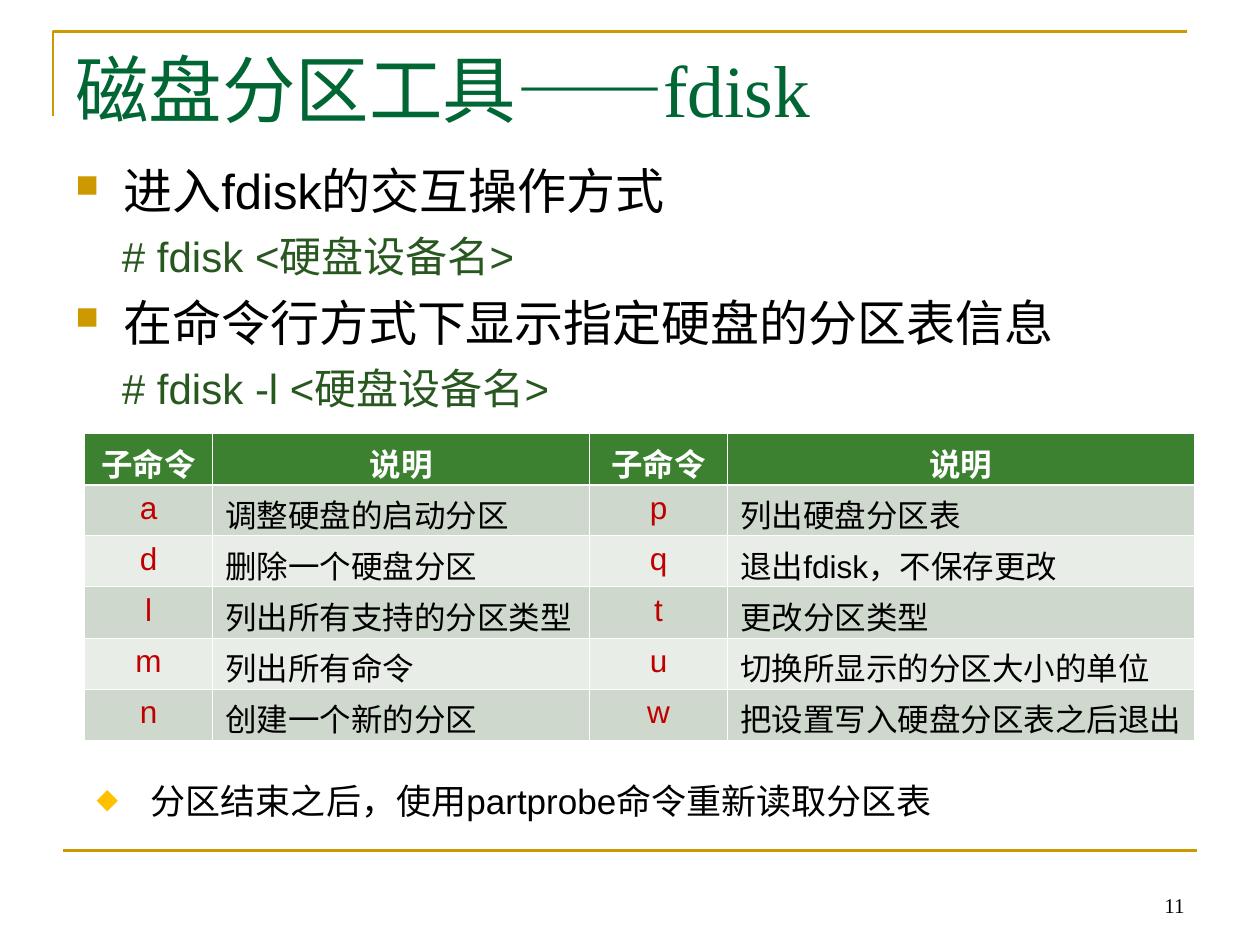
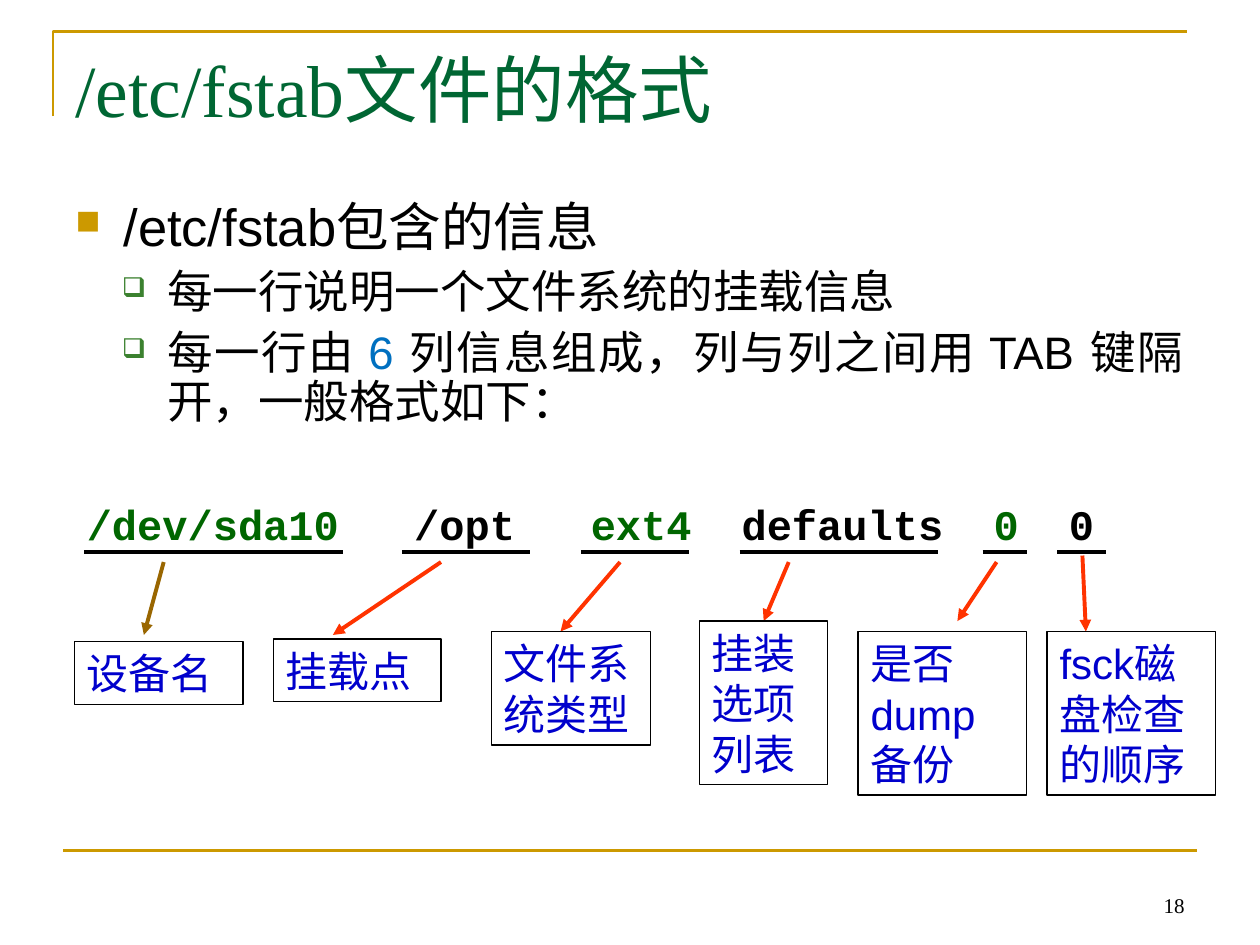
from dataclasses import dataclass

from lxml import etree
from pptx import Presentation
from pptx.dml.color import RGBColor
from pptx.enum.shapes import MSO_CONNECTOR, MSO_SHAPE
from pptx.enum.text import MSO_ANCHOR, PP_ALIGN
from pptx.oxml.ns import qn
from pptx.util import Cm, Pt

STRAIGHT, RECTANGLE = MSO_CONNECTOR.STRAIGHT, MSO_SHAPE.RECTANGLE
LEFT, CENTER = PP_ALIGN.LEFT, PP_ALIGN.CENTER
RIGHT, JUSTIFY = PP_ALIGN.RIGHT, PP_ALIGN.JUSTIFY
TOP, BOTTOM = MSO_ANCHOR.TOP, MSO_ANCHOR.BOTTOM

# Colours
GOLD = RGBColor(0xCC, 0x99, 0x00)
AMBER = RGBColor(0xFF, 0xC0, 0x00)
TITLE_GREEN = RGBColor(0x00, 0x66, 0x33)
COMMAND_GREEN = RGBColor(0x28, 0x57, 0x1F)
HEADER_GREEN = RGBColor(0x3B, 0x81, 0x2F)
FIELD_GREEN = RGBColor(0x00, 0x66, 0x00)
ROW_DARK = RGBColor(0xCE, 0xD8, 0xCD)
ROW_LIGHT = RGBColor(0xE8, 0xED, 0xE8)
KEY_RED = RGBColor(0xC0, 0x00, 0x00)
ARROW_RED = RGBColor(0xFF, 0x33, 0x00)
ARROW_BROWN = RGBColor(0x99, 0x66, 0x00)
LABEL_BLUE = RGBColor(0x00, 0x00, 0xCC)
ACCENT_BLUE = RGBColor(0x00, 0x70, 0xC0)
BLACK = RGBColor(0x00, 0x00, 0x00)
WHITE = RGBColor(0xFF, 0xFF, 0xFF)

SANS, SERIF, MONO = "Arial", "Times New Roman", "Courier New"


@dataclass
class ParaStyle:
    size: float
    color: RGBColor = BLACK
    font: str = SANS
    bold: bool = False
    align: int = LEFT
    before: float = 0
    spacing: float = 1.0
    margin: float = 0
    hanging: float = 0
    bullet: str = ""
    bullet_color: RGBColor = GOLD
    bullet_percent: int = 65
    tabs: tuple = ()


LEVEL_1 = {"margin": 0.97, "hanging": 0.97}
LEVEL_2 = {"margin": 1.85, "hanging": 0.91}
TITLE = ParaStyle(42, TITLE_GREEN, SERIF)
PAGE_NUMBER = ParaStyle(12, font=SERIF, align=RIGHT)
TOPIC = ParaStyle(28, before=7, bullet="■", **LEVEL_1)
COMMAND = ParaStyle(24, COMMAND_GREEN, before=6, **LEVEL_2)
NOTE = ParaStyle(20, spacing=0.93, margin=1.09, hanging=1.09,
                 bullet="◆", bullet_color=AMBER, bullet_percent=80)
FSTAB_TOPIC = ParaStyle(30, align=JUSTIFY, before=7.5, spacing=0.9,
                        bullet="■", **LEVEL_1)
FSTAB_POINT = ParaStyle(26, align=JUSTIFY, before=6.5, spacing=0.9, bullet="❑",
                        bullet_color=HEADER_GREEN, bullet_percent=60, **LEVEL_2)
FIELDS = ParaStyle(24, font=MONO, bold=True, before=6,
                   tabs=(6.6, 10.16, 13.2, 18.28, 19.8))
LABEL = ParaStyle(24, LABEL_BLUE)
TABLE_HEAD = ParaStyle(18, WHITE, bold=True, align=CENTER)
TABLE_KEY = ParaStyle(18, KEY_RED, align=CENTER)
TABLE_TEXT = ParaStyle(18)

# Content
SUBCOMMANDS = [
    ("子命令", "说明", "子命令", "说明"),
    ("a", "调整硬盘的启动分区", "p", "列出硬盘分区表"),
    ("d", "删除一个硬盘分区", "q", "退出fdisk，不保存更改"),
    ("l", "列出所有支持的分区类型", "t", "更改分区类型"),
    ("m", "列出所有命令", "u", "切换所显示的分区大小的单位"),
    ("n", "创建一个新的分区", "w", "把设置写入硬盘分区表之后退出"),
]
# Field, label, underline (from, to), arrow (from, to), label box
FSTAB_FIELDS = [
    ("/dev/sda10", "设备名", (1.7, 6.91),
     ((3.3, 11.33), (2.9, 12.8)), (1.5, 12.93, 3.4, 1.27)),
    ("/opt", "挂载点", (8.1, 10.69),
     ((8.89, 11.33), (6.71, 12.8)), (5.51, 12.88, 3.38, 1.27)),
    ("ext4", "文件系统类型", (11.71, 13.89),
     ((12.5, 11.33), (11.3, 12.73)), (9.91, 12.73, 3.2, 2.29)),
    ("defaults", "挂装选项列表", (14.91, 18.9),
     ((15.9, 11.33), (15.49, 12.52)), (14.1, 12.52, 2.59, 3.3)),
    ("0", "是否dump备份", (19.81, 20.7),
     ((20.09, 11.33), (19.3, 12.52)), (17.3, 12.73, 3.4, 3.3)),
    ("0", "fsck磁盘检查的顺序", (21.31, 22.3),
     ((21.82, 11.2), (21.89, 12.73)), (21.11, 12.73, 3.4, 3.3)),
]
UNDERLINE_Y = 11.13
JOIN_TOLERANCE = 0.1


def add_xml(parent, tag, **attributes):
    return etree.SubElement(parent, qn(tag), attributes)


def style_paragraph(paragraph, style):
    """Bullets and tabs go first; the spacing and font setters sort themselves in."""
    properties = paragraph._p.get_or_add_pPr()
    if style.margin:
        properties.set("marL", str(Cm(style.margin)))
        properties.set("indent", str(-Cm(style.hanging)))
    if style.bullet:
        color = add_xml(properties, "a:buClr")
        add_xml(color, "a:srgbClr", val=str(style.bullet_color))
        add_xml(properties, "a:buSzPct", val=str(style.bullet_percent * 1000))
        add_xml(properties, "a:buChar", char=style.bullet)
    if style.tabs:
        stops = add_xml(properties, "a:tabLst")
        for stop in style.tabs:
            add_xml(stops, "a:tab", pos=str(Cm(stop)), algn="l")
    paragraph.alignment = style.align
    paragraph.space_before = Pt(style.before)
    paragraph.line_spacing = style.spacing
    font = paragraph.font
    font.name, font.size, font.bold = style.font, Pt(style.size), style.bold
    font.color.rgb = style.color


def write(frame, paragraphs):
    """Each paragraph is (style, text) or (style, [(text, colour), ...])."""
    frame.word_wrap = True
    for index, (style, content) in enumerate(paragraphs):
        paragraph = frame.add_paragraph() if index else frame.paragraphs[0]
        style_paragraph(paragraph, style)
        if isinstance(content, str):
            paragraph.add_run().text = content
            continue
        for text, color in content:
            run = paragraph.add_run()
            run.text = text
            run.font.color.rgb = color


def add_text(slide, box, *paragraphs, anchor=TOP):
    frame = slide.shapes.add_textbox(*map(Cm, box)).text_frame
    frame.vertical_anchor = anchor
    write(frame, paragraphs)


def add_line(slide, start, end, color, width, arrow=False):
    line = slide.shapes.add_connector(STRAIGHT, *map(Cm, (*start, *end)))
    line.line.color.rgb = color
    line.line.width = Pt(width)
    if arrow:
        add_xml(line.line._get_or_add_ln(), "a:tailEnd", type="triangle")
    add_xml(line._element.spPr, "a:effectLst")
    return line


def add_label(slide, box, text):
    label = slide.shapes.add_shape(RECTANGLE, *map(Cm, box))
    label.shadow.inherit = False
    label.fill.background()
    label.line.color.rgb = BLACK
    label.line.width = Pt(0.75)
    label.text_frame.vertical_anchor = TOP
    write(label.text_frame, [(LABEL, text)])
    return label


def add_base(prs, title, number):
    """Blank slide with the corner frame, bottom rule, title and page number."""
    slide = prs.slides.add_slide(prs.slide_layouts[6])
    builder = slide.shapes.build_freeform(Cm(1.07), Cm(2.34))
    builder.add_line_segments([(Cm(1.07), Cm(0.64)), (Cm(23.93), Cm(0.64))],
                              close=False)
    corner = builder.convert_to_shape()
    corner.shadow.inherit = False
    corner.fill.background()
    corner.line.color.rgb = GOLD
    corner.line.width = Pt(1.5)
    add_line(slide, (1.27, 17.15), (24.13, 17.15), GOLD, 1.5)
    add_text(slide, (1.27, 0.76, 22.86, 3.18), (TITLE, title))
    add_text(slide, (18.21, 17.35, 5.92, 1.27), (PAGE_NUMBER, number),
             anchor=BOTTOM)
    return slide


def set_borders(cell, row):
    properties = cell._tc.get_or_add_tcPr()
    for side in "LRTB":
        under_header = (row, side) in ((0, "B"), (1, "T"))
        border = add_xml(properties, f"a:ln{side}",
                         w=str(Pt(1.47 if under_header else 0.45)))
        add_xml(add_xml(border, "a:solidFill"), "a:srgbClr", val=str(WHITE))


def add_subcommand_table(slide):
    widths = (2.59, 7.59, 2.79, 9.4)
    row_height = 1.03
    table = slide.shapes.add_table(
        len(SUBCOMMANDS), len(widths), Cm(1.7), Cm(8.74),
        Cm(sum(widths)), Cm(row_height * len(SUBCOMMANDS))).table
    for column, width in zip(table.columns, widths):
        column.width = Cm(width)
    for r, texts in enumerate(SUBCOMMANDS):
        table.rows[r].height = Cm(row_height)
        for c, text in enumerate(texts):
            cell = table.cell(r, c)
            set_borders(cell, r)
            cell.fill.solid()
            if r == 0:
                style, fill = TABLE_HEAD, HEADER_GREEN
            else:
                style = TABLE_TEXT if c % 2 else TABLE_KEY
                fill = ROW_DARK if r % 2 else ROW_LIGHT
            cell.fill.fore_color.rgb = fill
            write(cell.text_frame, [(style, text)])


def build_fdisk_slide(prs):
    slide = add_base(prs, "磁盘分区工具——fdisk", "11")
    add_text(slide, (1.27, 3.12, 22.86, 5.41),
             (TOPIC, "进入fdisk的交互操作方式"),
             (COMMAND, "# fdisk <硬盘设备名>"),
             (TOPIC, "在命令行方式下显示指定硬盘的分区表信息"),
             (COMMAND, "# fdisk -l <硬盘设备名>"))
    add_subcommand_table(slide)
    add_text(slide, (1.7, 15.67, 19.4, 1.04),
             (NOTE, "分区结束之后，使用partprobe命令重新读取分区表"))


def build_fstab_slide(prs):
    slide = add_base(prs, "/etc/fstab文件的格式", "18")
    add_text(slide, (1.27, 3.94, 22.83, 5.41),
             (FSTAB_TOPIC, "/etc/fstab包含的信息"),
             (FSTAB_POINT, "每一行说明一个文件系统的挂载信息"),
             (FSTAB_POINT, [("每一行由 ", BLACK), ("6 ", ACCENT_BLUE),
                            ("列信息组成，列与列之间用 TAB 键隔开，一般格式如下：", BLACK)]))

    # Sample line with alternating colours, one tab stop per field
    fields = [("\t" * (i > 0) + entry[0], BLACK if i % 2 else FIELD_GREEN)
              for i, entry in enumerate(FSTAB_FIELDS)]
    add_text(slide, (1.5, 9.93, 21.79, 1.47), (FIELDS, fields))

    # Underline, arrow and label for every field
    for i, (_, name, (left, right), (start, end), box) in enumerate(FSTAB_FIELDS):
        arrow = add_line(slide, start, end, ARROW_RED if i else ARROW_BROWN,
                         2.25, arrow=True)
        label = add_label(slide, box, name)
        top_middle = (box[0] + box[2] / 2, box[1])
        if all(abs(a - b) < JOIN_TOLERANCE for a, b in zip(end, top_middle)):
            arrow.end_connect(label, 0)
        add_line(slide, (left, UNDERLINE_Y), (right, UNDERLINE_Y), BLACK, 2.25)


def main():
    prs = Presentation()
    prs.slide_width, prs.slide_height = Cm(25.4), Cm(19.05)
    build_fdisk_slide(prs)
    build_fstab_slide(prs)
    prs.save("out.pptx")


if __name__ == "__main__":
    main()
